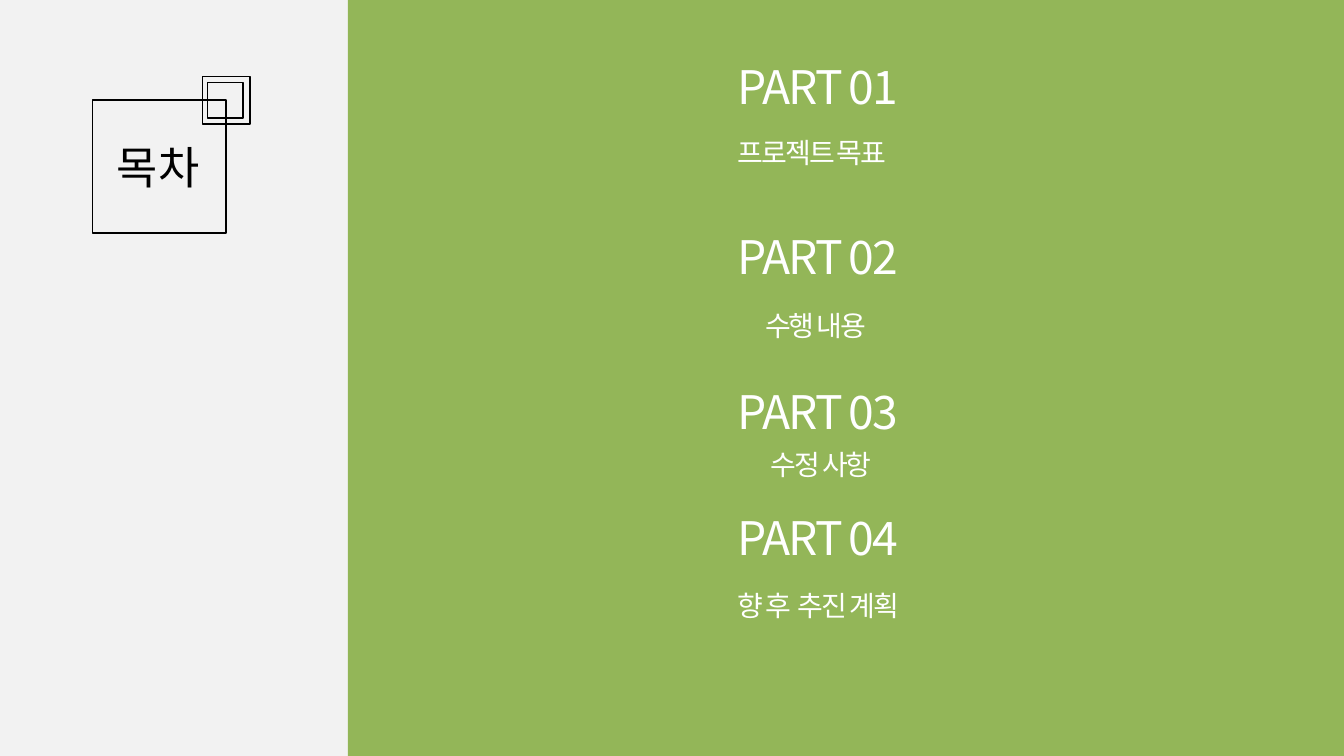
from dataclasses import dataclass

from pptx import Presentation
from pptx.dml.color import RGBColor
from pptx.enum.shapes import MSO_SHAPE
from pptx.enum.text import MSO_ANCHOR, MSO_AUTO_SIZE, PP_ALIGN
from pptx.oxml.ns import qn
from pptx.util import Inches, Pt
from lxml.etree import SubElement


@dataclass(frozen=True)
class Theme:
    font: str = "Noto Sans CJK KR"
    background: RGBColor = RGBColor(0xF2, 0xF2, 0xF2)
    panel: RGBColor = RGBColor(0x93, 0xB6, 0x58)
    dark: RGBColor = RGBColor(0, 0, 0)
    light: RGBColor = RGBColor(0xFF, 0xFF, 0xFF)
    title_size: float = 32
    part_size: float = 33
    topic_size: float = 20
    tracking: float = -1.5


class SlideBuilder:
    def __init__(self, slide, theme):
        self.slide = slide
        self.theme = theme
        fill = slide.background.fill
        fill.solid()
        fill.fore_color.rgb = theme.background

    def rectangle(self, left, top, width, height, fill=None, line=None):
        shape = self.slide.shapes.add_shape(
            MSO_SHAPE.RECTANGLE, Inches(left), Inches(top), Inches(width), Inches(height))
        shape.shadow.inherit = False
        if fill is None:
            shape.fill.background()
        else:
            shape.fill.solid()
            shape.fill.fore_color.rgb = fill
        if line is None:
            shape.line.fill.background()
        else:
            shape.line.color.rgb = line
            shape.line.width = Pt(1)

    def set_text(self, shape, text, size, color, align=PP_ALIGN.LEFT, tracking=0):
        frame = shape.text_frame
        frame.text = text
        frame.word_wrap = False
        frame.auto_size = MSO_AUTO_SIZE.SHAPE_TO_FIT_TEXT
        frame.vertical_anchor = MSO_ANCHOR.TOP
        paragraph = frame.paragraphs[0]
        paragraph.alignment = align
        paragraph.line_spacing = 1.0
        run = paragraph.runs[0]
        run.font.name = self.theme.font
        run.font.size = Pt(size)
        run.font.color.rgb = color
        properties = run._r.get_or_add_rPr()
        properties.set("spc", str(round(tracking * 100)))
        # Korean glyphs take the East Asian typeface
        SubElement(properties, qn("a:ea")).set("typeface", self.theme.font)

    def title(self, text, left, top, width, height):
        shape = self.slide.shapes.title
        shape.left, shape.top = Inches(left), Inches(top)
        shape.width, shape.height = Inches(width), Inches(height)
        self.set_text(shape, text, self.theme.title_size, self.theme.dark)

    def label(self, text, left, top, width, height, size, align=PP_ALIGN.LEFT):
        shape = self.slide.shapes.add_textbox(
            Inches(left), Inches(top), Inches(width), Inches(height))
        self.set_text(shape, text, size, self.theme.light, align, self.theme.tracking)


# Part top, then topic text, left, top, width and alignment
PARTS = [
    (0.53, "프로젝트 목표", 7.22, 1.3, 1.77, PP_ALIGN.LEFT),
    (2.22, "수행 내용", 7.49, 3.01, 1.23, PP_ALIGN.LEFT),
    (3.75, "수정 사항", 7.53, 4.39, 1.23, PP_ALIGN.CENTER),
    (5.0, "향 후  추진 계획", 7.22, 5.79, 1.94, PP_ALIGN.LEFT),
]


def main():
    presentation = Presentation()
    presentation.slide_width = Inches(13.33)
    presentation.slide_height = Inches(7.5)
    theme = Theme()
    builder = SlideBuilder(
        presentation.slides.add_slide(presentation.slide_layouts[5]), theme)

    # Title and green panel
    builder.title("목차", 1.06, 1.34, 1.05, 0.64)
    builder.rectangle(3.45, 0, 9.88, 7.5, fill=theme.panel)

    # Square frames around the title
    for left, top, side in [(0.92, 0.99, 1.32), (2.06, 0.82, 0.35), (2.01, 0.76, 0.47)]:
        builder.rectangle(left, top, side, side, line=theme.dark)

    # Contents
    for number, (part_top, topic, left, top, width, align) in enumerate(PARTS, start=1):
        builder.label(f"PART {number:02}", 7.22, part_top, 1.85, 0.66, theme.part_size)
        builder.label(topic, left, top, width, 0.44, theme.topic_size, align)

    presentation.save("out.pptx")


if __name__ == "__main__":
    main()
